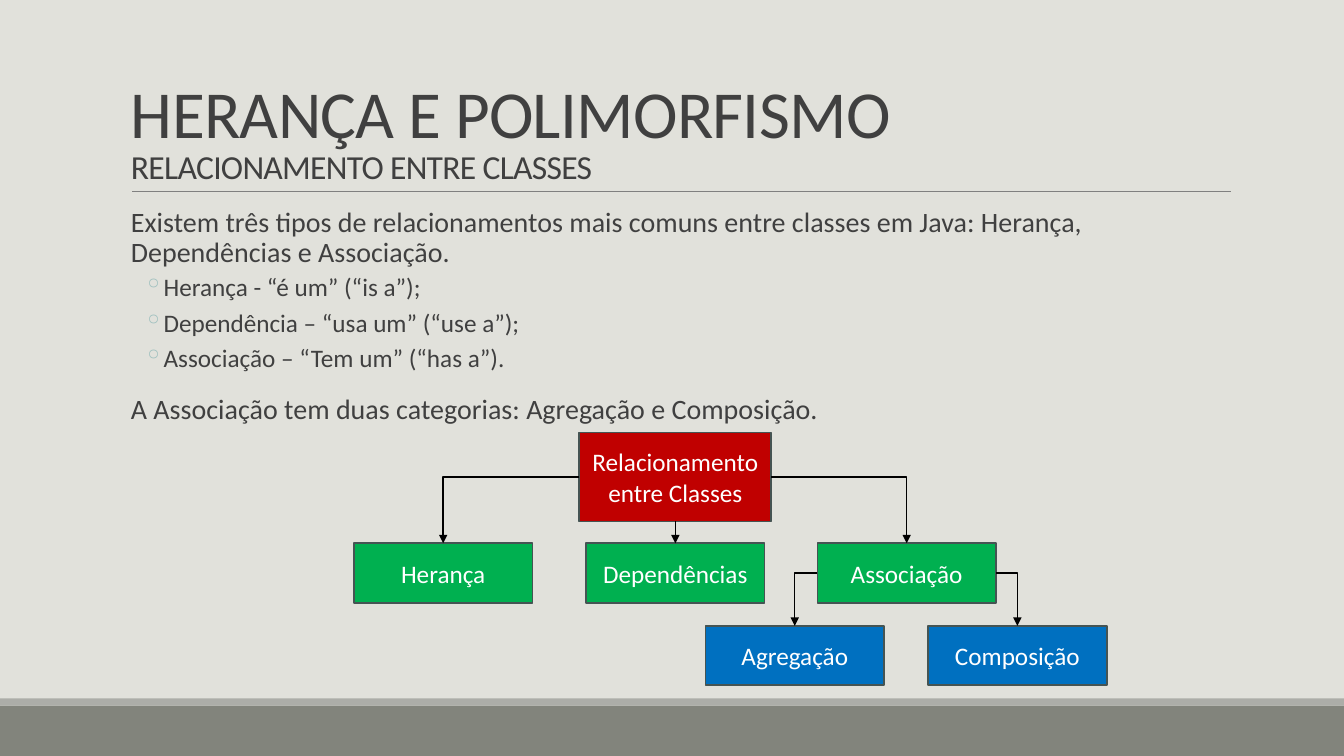
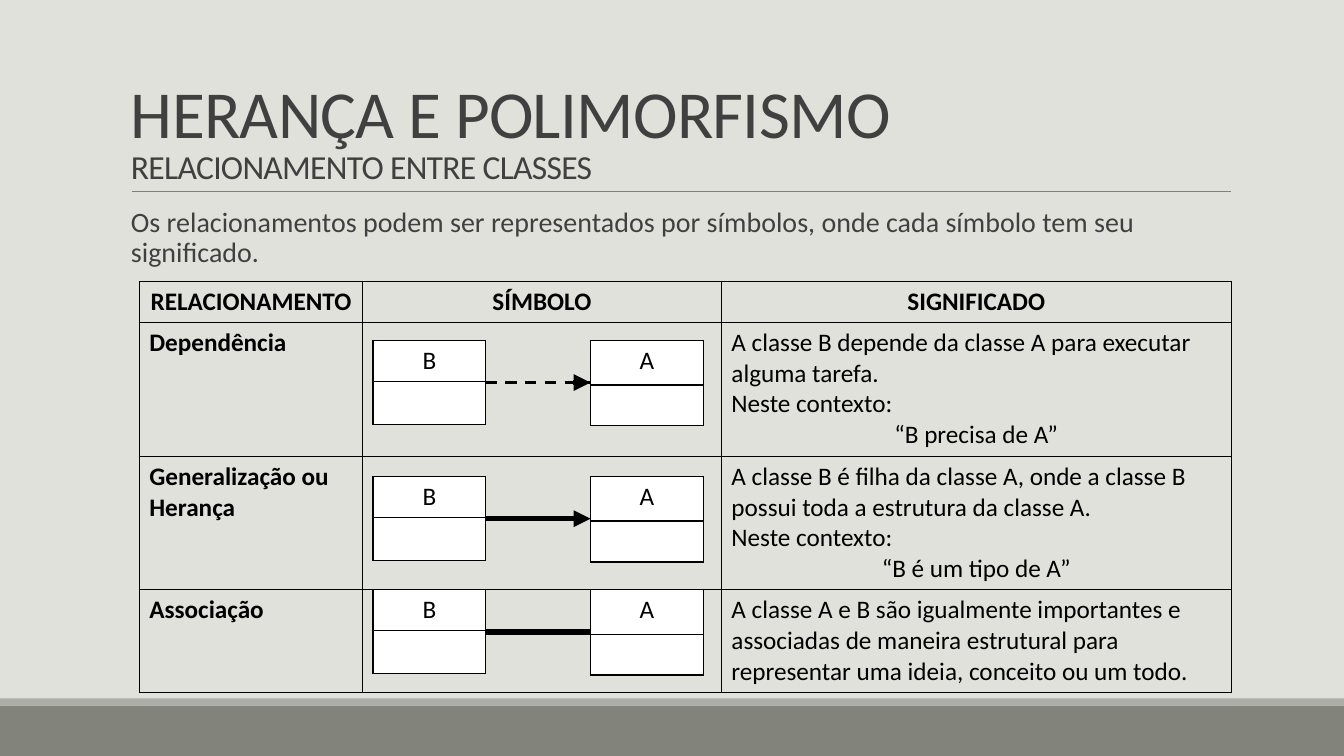
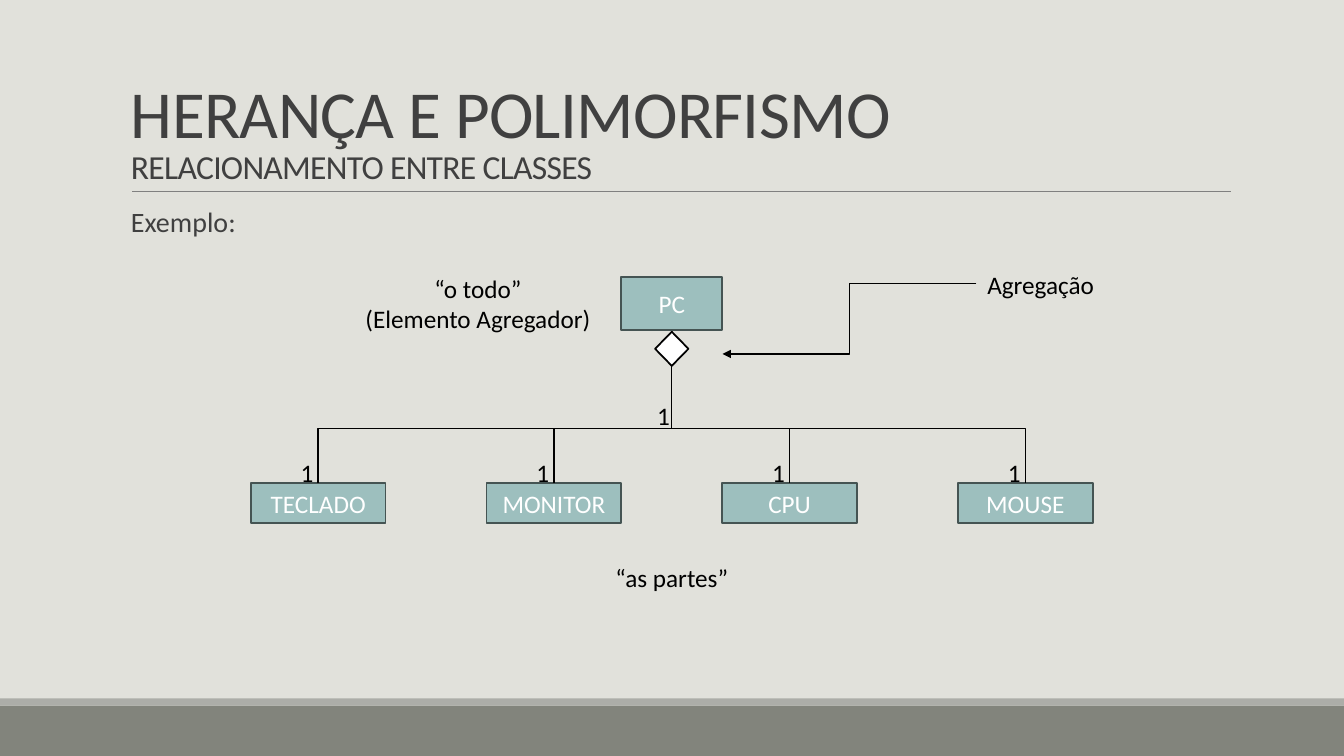
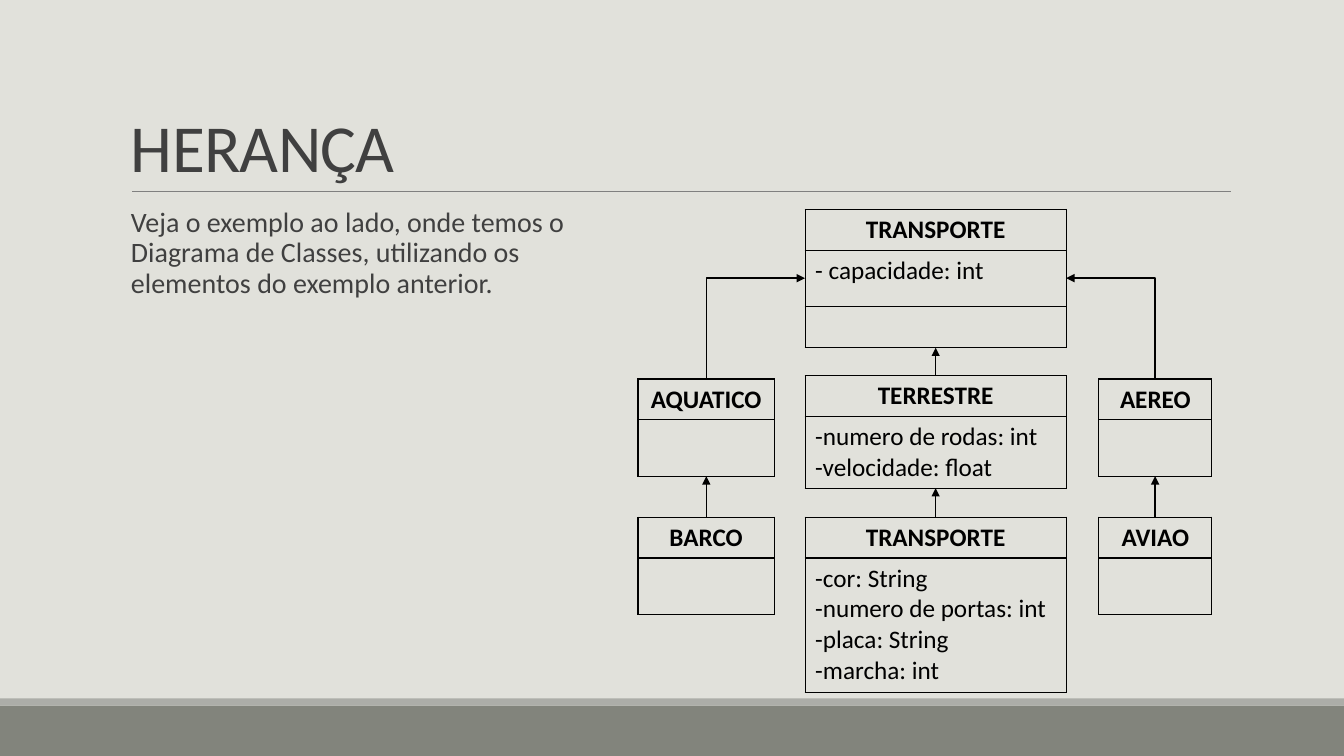
from lxml.etree import SubElement
from pptx import Presentation
from pptx.dml.color import RGBColor
from pptx.enum.dml import MSO_LINE
from pptx.enum.shapes import MSO_CONNECTOR, MSO_SHAPE
from pptx.enum.text import MSO_ANCHOR, PP_ALIGN
from pptx.oxml.ns import qn
from pptx.util import Cm, Pt

COLORS = {
    "background": "E1E1DB", "band": "82847C", "stripe": "ACADA8", "rule": "808080",
    "heading": "404040", "accent": "9DBFBE", "outline": "455453", "black": "000000",
    "white": "FFFFFF", "red": "C00000", "green": "00B050", "blue": "0070C0",
}
RGB = {name: RGBColor.from_string(value) for name, value in COLORS.items()}
FONT = "Calibri"
LEFT, CENTER = PP_ALIGN.LEFT, PP_ALIGN.CENTER
STRAIGHT, ELBOW = MSO_CONNECTOR.STRAIGHT, MSO_CONNECTOR.ELBOW


def write_text(text_frame, text, size=18, color="black", align=LEFT, bold=False):
    text_frame.text = text
    for paragraph in text_frame.paragraphs:
        paragraph.alignment = align
        for run in paragraph.runs:
            run.font.name = FONT
            run.font.size = Pt(size)
            run.font.bold = bold
            run.font.color.rgb = RGB[color]


def connect(slide, start, end, kind=STRAIGHT, corner=False, width=1, color="black",
            arrow=None, dash=None):
    points = [Cm(value) for value in (*start, *end)]
    connector = slide.shapes.add_connector(kind, *points)
    connector.line.color.rgb = RGB[color]
    connector.line.width = Pt(width)
    if dash:
        connector.line.dash_style = dash
    properties = connector._element.spPr
    if corner:
        properties.find(qn("a:prstGeom")).set("prst", "bentConnector2")
    if arrow:
        SubElement(properties.find(qn("a:ln")), qn(f"a:{arrow}")).set("type", "triangle")
    SubElement(properties, qn("a:effectLst"))
    return connector


presentation = Presentation()
presentation.slide_width = Cm(33.87)
presentation.slide_height = Cm(19.05)
blank_layout = presentation.slide_layouts[6]
background = presentation.slide_master.background.fill
background.solid()
background.fore_color.rgb = RGB["background"]

long_title = "HERANÇA E POLIMORFISMO\vRELACIONAMENTO ENTRE CLASSES"
for title in (long_title, long_title, long_title, "HERANÇA"):
    slide = presentation.slides.add_slide(blank_layout)
    for color, top, height in (("band", 17.78, 1.27), ("stripe", 17.6, 0.18)):
        band = slide.shapes.add_shape(MSO_SHAPE.RECTANGLE, 0, Cm(top), Cm(33.87), Cm(height))
        band.shadow.inherit = False
        band.fill.solid()
        band.fill.fore_color.rgb = RGB[color]
        band.line.fill.background()
    connect(slide, (3.33, 4.83), (31.01, 4.83), width=0.5, color="rule")
    title_box = slide.shapes.add_textbox(Cm(3.05), Cm(0.79), Cm(27.94), Cm(4.04))
    text_frame = title_box.text_frame
    text_frame.word_wrap = True
    text_frame.vertical_anchor = MSO_ANCHOR.BOTTOM
    write_text(text_frame, title, 48, "heading")
    paragraph = text_frame.paragraphs[0]
    paragraph.line_spacing = 0.85
    for run, size in zip(paragraph.runs, (48, 24)):
        run.font.size = Pt(size)
        run._r.get_or_add_rPr().set("spc", "-50")

types_slide, symbols_slide, example_slide, diagram_slide = presentation.slides

bodies = [
    (types_slide, 27.94, [
        (0, "Existem três tipos de relacionamentos mais comuns entre classes em Java: "
            "Herança, Dependências e Associação."),
        (1, "Herança - “é um” (“is a”);"),
        (1, "Dependência – “usa um” (“use a”);"),
        (1, "Associação – “Tem um” (“has a”)."),
        (0, "A Associação tem duas categorias: Agregação e Composição."),
    ]),
    (symbols_slide, 27.94, [
        (0, "Os relacionamentos podem ser representados por símbolos, onde cada símbolo "
            "tem seu significado."),
    ]),
    (example_slide, 27.94, [(0, "Exemplo:")]),
    (diagram_slide, 11.76, [
        (0, "Veja o exemplo ao lado, onde temos o Diagrama de Classes, utilizando os "
            "elementos do exemplo anterior."),
    ]),
]
for slide, width, items in bodies:
    body_box = slide.shapes.add_textbox(Cm(3.05), Cm(5.13), Cm(width), Cm(11.18))
    text_frame = body_box.text_frame
    text_frame.word_wrap = True
    text_frame.margin_left = text_frame.margin_right = 0
    write_text(text_frame, "\n".join(text for level, text in items), 20, "heading")
    for paragraph, (level, text) in zip(text_frame.paragraphs, items):
        paragraph.level = level
        paragraph.line_spacing = 0.9
        paragraph.space_before, paragraph.space_after = (Pt(2), Pt(4)) if level else (Pt(12), Pt(2))
        properties = paragraph._p.get_or_add_pPr()
        properties.set("marL", str(Cm(1.07 if level else 0.25)))
        if level:
            paragraph.runs[0].font.size = Pt(18)
            properties.set("indent", str(Cm(-0.5)))
            bullet_color = SubElement(properties, qn("a:buClr"))
            SubElement(bullet_color, qn("a:srgbClr")).set("val", COLORS["accent"])
            SubElement(properties, qn("a:buChar")).set("char", "◦")

parts = ["TECLADO", "MONITOR", "CPU", "MOUSE"]
part_centers = [8.02 + 5.94 * index for index in range(len(parts))]
trunk = 16.93
rectangle, diamond = MSO_SHAPE.RECTANGLE, MSO_SHAPE.DIAMOND
boxes = [
    (types_slide, rectangle, "Relacionamento entre Classes", 14.6, 10.9, 4.84, 2.24, "red", "outline"),
    (types_slide, rectangle, "Herança", 8.92, 13.69, 4.5, 1.5, "green", "outline"),
    (types_slide, rectangle, "Dependências", 14.77, 13.69, 4.5, 1.5, "green", "outline"),
    (types_slide, rectangle, "Associação", 20.6, 13.69, 4.5, 1.5, "green", "outline"),
    (types_slide, rectangle, "Agregação", 17.78, 15.77, 4.5, 1.5, "blue", "outline"),
    (types_slide, rectangle, "Composição", 23.39, 15.77, 4.5, 1.5, "blue", "outline"),
    (example_slide, diamond, "", trunk - 0.42, 8.36, 0.84, 0.86, "white", "black"),
    (example_slide, rectangle, "PC", trunk - 1.27, 6.99, 2.54, 1.32, "accent", "outline"),
]
for part, center in zip(parts, part_centers):
    boxes.append((example_slide, rectangle, part, center - 1.7, 12.17, 3.4, 1.02, "accent", "outline"))

box_shapes = {}
for slide, kind, text, left, top, width, height, fill, outline in boxes:
    shape = slide.shapes.add_shape(kind, Cm(left), Cm(top), Cm(width), Cm(height))
    shape.shadow.inherit = False
    shape.fill.solid()
    shape.fill.fore_color.rgb = RGB[fill]
    shape.line.color.rgb = RGB[outline]
    shape.line.width = Pt(1.25)
    shape.text_frame.vertical_anchor = MSO_ANCHOR.MIDDLE
    write_text(shape.text_frame, text, color="white", align=CENTER)
    box_shapes[text] = shape

top_site, left_site, bottom_site, right_site = range(4)
for parent, site, child in (
    ("Relacionamento entre Classes", left_site, "Herança"),
    ("Relacionamento entre Classes", bottom_site, "Dependências"),
    ("Relacionamento entre Classes", right_site, "Associação"),
    ("Associação", left_site, "Agregação"),
    ("Associação", right_site, "Composição"),
):
    bent = site != bottom_site
    connector = connect(types_slide, (0, 0), (0, 0), ELBOW if bent else STRAIGHT, bent, arrow="tailEnd")
    connector.begin_connect(box_shapes[parent], site)
    connector.end_connect(box_shapes[child], top_site)

connect(example_slide, (trunk, 9.22), (trunk, 10.8))
for center in part_centers:
    if center in (part_centers[0], part_centers[-1]):
        connect(example_slide, (trunk, 10.8), (center, 12.17), ELBOW, corner=True)
    else:
        connect(example_slide, (center, 10.8), (center, 12.17))
connect(example_slide, (24.61, 7.14), (18.21, 8.92), ELBOW, arrow="tailEnd")

labels = [
    ("1", 16.3, 9.96, 0.84, 1.02),
    ("Agregação", 24.61, 6.65, 3.23, 1.02),
    ("“o todo”\n(Elemento Agregador)", 8.92, 6.76, 6.25, 1.8),
    ("“as partes”", 15.24, 14.05, 3.38, 1.02),
]
labels += [("1", center - 0.7, 11.4, 0.84, 1.02) for center in part_centers]
for text, left, top, width, height in labels:
    label = example_slide.shapes.add_textbox(Cm(left), Cm(top), Cm(width), Cm(height))
    label.text_frame.word_wrap = False
    write_text(label.text_frame, text, align=CENTER)

tables = [
    (symbols_slide, 3.51, 7.09, [5.63, 9.04, 12.85], [1.03, 3.38, 3.36, 2.58], [
        ["RELACIONAMENTO", "SÍMBOLO", "SIGNIFICADO"],
        ["Dependência", "", "A classe B depende da classe A para executar alguma tarefa.\n"
                            "Neste contexto:\n“B precisa de A”"],
        ["Generalização ou Herança", "", "A classe B é filha da classe A, onde a classe B possui "
                                         "toda a estrutura da classe A.\n"
                                         "Neste contexto:\n“B é um tipo de A”"],
        ["Associação", "", "A classe A e B são igualmente importantes e associadas de maneira "
                           "estrutural para representar uma ideia, conceito ou um todo."],
    ], None),
    (diagram_slide, 20.29, 5.28, [6.58], [1.03, 1.42, 1.03],
     [["TRANSPORTE"], ["- capacidade: int"], [""]], None),
    (diagram_slide, 20.29, 9.47, [6.58], [1.03, 1.8],
     [["TERRESTRE"], ["-numero de rodas: int\n-velocidade: float"]], None),
    (diagram_slide, 20.29, 13.03, [6.58], [1.03, 3.38],
     [["TRANSPORTE"], ["-cor: String\n-numero de portas: int\n-placa: String\n-marcha: int"]], None),
]
for name, left, top, width in (
    ("AQUATICO", 16.08, 9.55, 3.43), ("BARCO", 16.08, 13.03, 3.43),
    ("AEREO", 27.69, 9.55, 2.85), ("AVIAO", 27.69, 13.03, 2.85),
):
    tables.append((diagram_slide, left, top, [width], [1.03, 1.42], [[name], [""]], None))
pair_tops = [8.58, 12.01, 14.86]
for top in pair_tops:
    tables.append((symbols_slide, 9.4, top, [2.84], [1.03, 1.09], [["B"], [""]], "white"))
    tables.append((symbols_slide, 14.88, top, [2.84], [1.12, 1.03], [["A"], [""]], "white"))

for slide, left, top, widths, heights, rows, fill in tables:
    frame = slide.shapes.add_table(len(rows), len(widths), Cm(left), Cm(top),
                                   Cm(sum(widths)), Cm(sum(heights)))
    table = frame.table
    table.first_row = table.horz_banding = False
    for column, width in zip(table.columns, widths):
        column.width = Cm(width)
    for row_index, (height, texts) in enumerate(zip(heights, rows)):
        table.rows[row_index].height = Cm(height)
        for column_index, text in enumerate(texts):
            cell = table.cell(row_index, column_index)
            is_header = row_index == 0
            is_name = column_index == 0 and len(widths) > 1
            write_text(cell.text_frame, text, align=CENTER if is_header else LEFT,
                       bold=not fill and (is_header or is_name))
            for paragraph in cell.text_frame.paragraphs:
                if paragraph.text.startswith("“"):
                    paragraph.alignment = CENTER
            properties = cell._tc.get_or_add_tcPr()
            for side in ("lnL", "lnR", "lnT", "lnB"):
                border = SubElement(properties, qn(f"a:{side}"), w=str(Pt(1)))
                border_fill = SubElement(border, qn("a:solidFill"))
                SubElement(border_fill, qn("a:srgbClr")).set("val", COLORS["black"])
            if fill:
                cell.fill.solid()
                cell.fill.fore_color.rgb = RGB[fill]
            else:
                cell.fill.background()

dependency, inheritance, association = [top + 1.06 for top in pair_tops]
connect(symbols_slide, (12.24, dependency), (14.88, dependency), width=2, dash=MSO_LINE.DASH)
connect(symbols_slide, (14.43, dependency), (14.88, dependency), width=4, arrow="tailEnd")
connect(symbols_slide, (12.24, inheritance), (14.88, inheritance), width=4, arrow="tailEnd")
connect(symbols_slide, (12.24, association), (14.88, association), width=4)

water, land, air = 17.8, 23.58, 29.11
connect(diagram_slide, (20.29, 7.01), (water, 9.55), ELBOW, corner=True, arrow="headEnd")
connect(diagram_slide, (26.87, 7.01), (air, 9.55), ELBOW, corner=True, arrow="headEnd")
for center, bottom, top in (
    (water, 13.03, 12), (land, 13.03, 12.3), (air, 13.03, 12), (land, 9.47, 8.76),
):
    connect(diagram_slide, (center, bottom), (center, top), arrow="tailEnd")

presentation.save("out.pptx")
